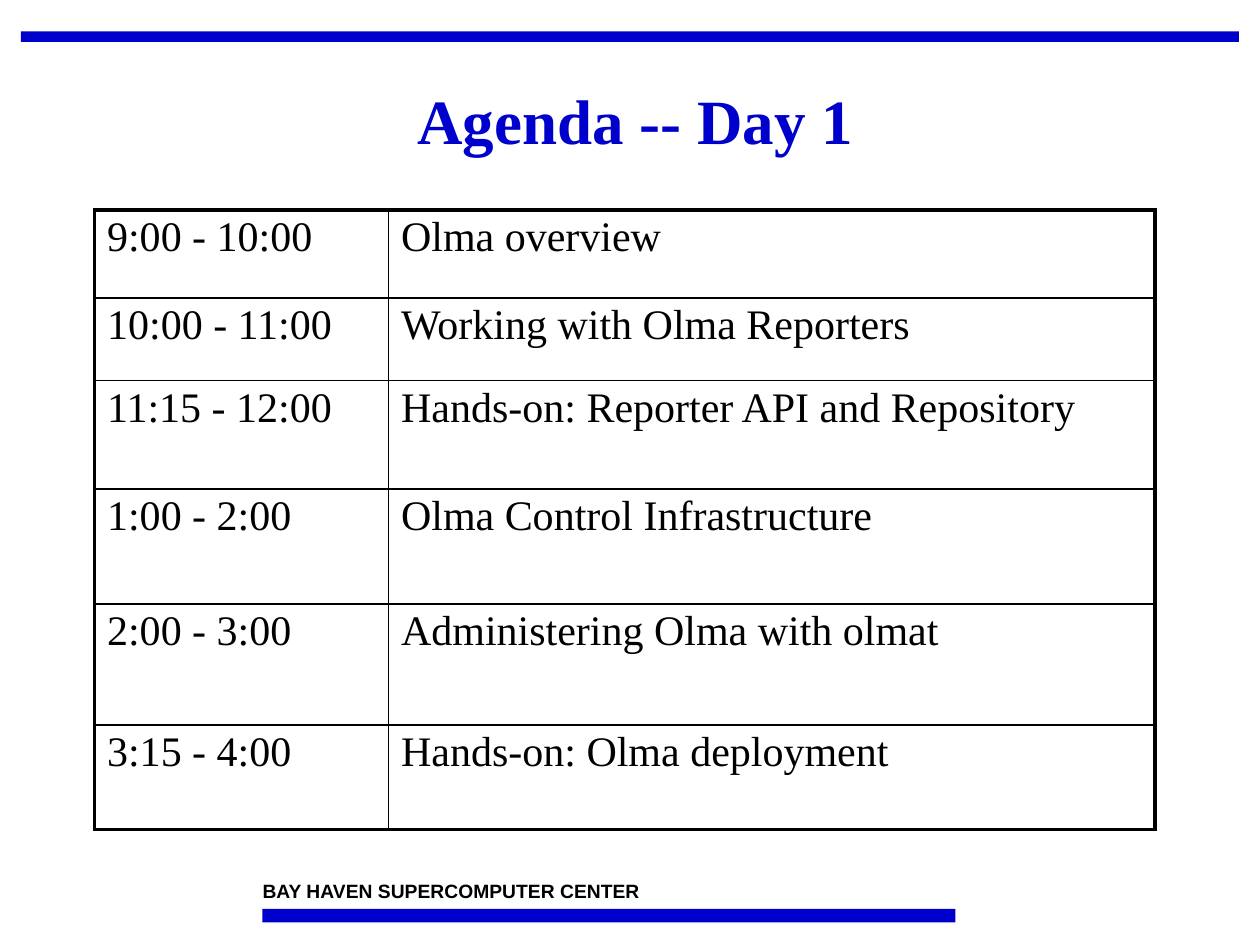
"""Build the Day 1 agenda slide with its timetable and footer."""
from typing import NamedTuple

from lxml.etree import SubElement
from pptx import Presentation
from pptx.dml.color import RGBColor
from pptx.enum.shapes import MSO_SHAPE
from pptx.enum.text import MSO_ANCHOR, PP_ALIGN
from pptx.oxml.ns import qn
from pptx.util import Pt

BLUE, BLACK = "0000CC", "000000"
OUTER, INNER = 2.25, 1
COLUMN_WIDTHS = (168, 438)


class Bar(NamedTuple):
    left: float
    top: float
    width: float
    height: float


class Session(NamedTuple):
    time: str
    topic: str
    height: float


BARS = (Bar(12, 18, 696, 6), Bar(150, 519.3, 396, 7.8))
SESSIONS = (
    Session("9:00 - 10:00", "Olma overview", 50.2),
    Session("10:00 - 11:00", "Working with Olma Reporters", 47.3),
    Session("11:15 - 12:00", "Hands-on: Reporter API and Repository", 62.1),
    Session("1:00 - 2:00", "Olma Control Infrastructure", 65.6),
    Session("2:00 - 3:00", "Administering Olma with olmat", 69.2),
    Session("3:15 - 4:00", "Hands-on: Olma deployment", 59.6),
)


def color(value: str) -> RGBColor:
    return RGBColor.from_string(value)


def style(paragraph, name: str, size: float, ink: str, bold: bool = False) -> None:
    font = paragraph.font
    font.name, font.size, font.bold = name, Pt(size), bold
    font.color.rgb = color(ink)


def draw_bar(slide, bar: Bar) -> None:
    shape = slide.shapes.add_shape(MSO_SHAPE.RECTANGLE, *map(Pt, bar))
    shape.shadow.inherit = False
    shape.fill.solid()
    shape.fill.fore_color.rgb = color(BLUE)
    shape.line.fill.background()


def draw_footer(slide, center: str) -> None:
    footer = slide.shapes.add_textbox(Pt(150), Pt(502.5), Pt(270), Pt(13))
    frame = footer.text_frame
    frame.margin_left = frame.margin_top = frame.margin_right = frame.margin_bottom = 0
    frame.word_wrap = True
    frame.text = center
    style(frame.paragraphs[0], "Arial", 11, BLACK, bold=True)


def draw_title(slide, heading: str) -> None:
    title = slide.shapes.title
    title.left, title.top, title.width, title.height = map(Pt, (30, 30, 666, 82))
    title.text_frame.text = heading
    title.text_frame.vertical_anchor = MSO_ANCHOR.MIDDLE
    paragraph = title.text_frame.paragraphs[0]
    paragraph.alignment = PP_ALIGN.CENTER
    paragraph.line_spacing = 0.9
    style(paragraph, "Times New Roman", 36, BLUE, bold=True)


def set_borders(cell, widths: dict[str, float]) -> None:
    properties = cell._tc.get_or_add_tcPr()
    for side, width in widths.items():
        border = SubElement(properties, qn(f"a:{side}"), w=str(Pt(width)))
        fill = SubElement(border, qn("a:solidFill"))
        SubElement(fill, qn("a:srgbClr"), val=BLACK)


def draw_agenda(slide, sessions: tuple[Session, ...]) -> None:
    height = sum(session.height for session in sessions)
    agenda = slide.shapes.add_table(
        len(sessions), len(COLUMN_WIDTHS), Pt(54), Pt(120), Pt(sum(COLUMN_WIDTHS)), Pt(height)
    ).table
    agenda.first_row = agenda.horz_banding = False
    for column, width in zip(agenda.columns, COLUMN_WIDTHS):
        column.width = Pt(width)
    last_row, last_column = len(sessions) - 1, len(COLUMN_WIDTHS) - 1
    for row, session in enumerate(sessions):
        agenda.rows[row].height = Pt(session.height)
        for column, entry in enumerate((session.time, session.topic)):
            cell = agenda.cell(row, column)
            cell.text = entry
            paragraph = cell.text_frame.paragraphs[0]
            paragraph.line_spacing = 0.95
            style(paragraph, "Times New Roman", 24, BLACK)
            set_borders(cell, {
                "lnL": OUTER if column == 0 else INNER,
                "lnR": OUTER if column == last_column else INNER,
                "lnT": OUTER if row == 0 else INNER,
                "lnB": OUTER if row == last_row else INNER,
            })
            cell.fill.background()


def main() -> None:
    deck = Presentation()
    deck.slide_width, deck.slide_height = Pt(720), Pt(540)
    slide = deck.slides.add_slide(deck.slide_layouts[5])
    for bar in BARS:
        draw_bar(slide, bar)
    draw_footer(slide, "BAY HAVEN SUPERCOMPUTER CENTER")
    draw_title(slide, "Agenda -- Day 1")
    draw_agenda(slide, SESSIONS)
    deck.save("out.pptx")


if __name__ == "__main__":
    main()
